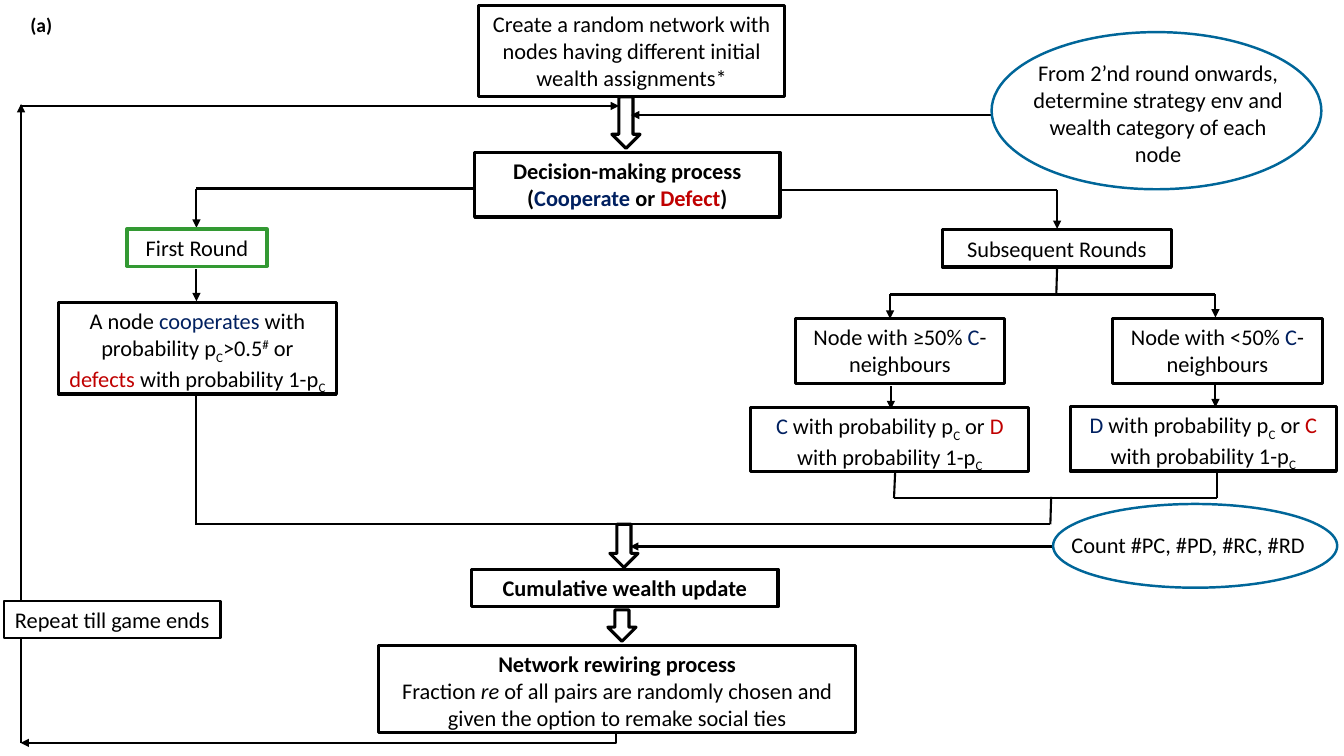
from lxml.etree import SubElement
from pptx import Presentation
from pptx.dml.color import RGBColor
from pptx.enum.shapes import MSO_CONNECTOR, MSO_SHAPE
from pptx.enum.text import MSO_ANCHOR, PP_ALIGN
from pptx.oxml.ns import qn
from pptx.util import Cm, Pt

BLACK = RGBColor(0x00, 0x00, 0x00)
NAVY = RGBColor(0x00, 0x20, 0x60)
RED = RGBColor(0xC0, 0x00, 0x00)
GREEN = RGBColor(0x33, 0x99, 0x33)
BLUE = RGBColor(0x00, 0x66, 0x99)
SUBSCRIPT, SUPERSCRIPT = "-25000", "30000"

presentation = Presentation()
presentation.slide_width, presentation.slide_height = Cm(33.87), Cm(19.05)
slide = presentation.slides.add_slide(presentation.slide_layouts[6])


def add_outline(kind, position, color=BLACK, weight=2.25):
    shape = slide.shapes.add_shape(kind, *[Cm(value) for value in position])
    shape.shadow.inherit = False
    shape.fill.background()
    shape.line.color.rgb = color
    shape.line.width = Pt(weight)
    return shape


def write_text(shape, paragraphs, size=16):
    """Each paragraph is (bold, runs); a run is plain text or (text, style)."""
    frame = shape.text_frame
    frame.word_wrap = True
    frame.vertical_anchor = MSO_ANCHOR.TOP
    for index, (bold, runs) in enumerate(paragraphs):
        paragraph = frame.paragraphs[0] if index == 0 else frame.add_paragraph()
        paragraph.alignment = PP_ALIGN.CENTER
        paragraph.font.name = "Calibri"
        paragraph.font.size = Pt(size)
        paragraph.font.bold = bold
        for item in runs:
            text, style = (item, BLACK) if isinstance(item, str) else item
            run = paragraph.add_run()
            run.text = text
            run.font.color.rgb = style if isinstance(style, RGBColor) else BLACK
            if style == "italic":
                run.font.italic = True
            elif style in (SUBSCRIPT, SUPERSCRIPT):
                run.font._element.set("baseline", style)


# Lines and arrows: start x, start y, end x, end y, arrowhead
lines = [
    # Decision to the two kinds of round
    (11.96, 4.75, 4.95, 4.75, False),
    (26.64, 4.78, 19.69, 4.78, False),
    (4.95, 4.75, 4.95, 5.74, True),
    (26.64, 4.78, 26.64, 5.77, True),
    (4.95, 6.78, 4.95, 7.59, True),
    # Subsequent rounds to the two neighbourhoods
    (26.64, 6.73, 26.62, 7.42, False),
    (22.43, 7.42, 30.63, 7.42, False),
    (22.43, 7.42, 22.43, 8.03, True),
    (30.63, 7.42, 30.63, 8.0, True),
    (22.45, 9.73, 22.45, 10.31, True),
    (30.63, 9.65, 30.63, 10.26, True),
    # All branches back to the wealth update
    (22.56, 11.86, 22.53, 12.55, False),
    (30.68, 11.86, 30.68, 12.55, False),
    (22.53, 12.55, 30.68, 12.55, False),
    (26.49, 12.52, 26.47, 13.21, False),
    (26.47, 13.21, 15.92, 13.21, False),
    (15.92, 13.21, 4.95, 13.21, False),
    (4.95, 9.93, 4.95, 13.23, False),
    # Side notes
    (26.57, 13.77, 15.88, 13.77, True),
    (25.02, 2.9, 15.9, 2.9, True),
    # Repeat loop
    (0.51, 2.67, 15.6, 2.67, True),
    (0.53, 18.72, 0.53, 16.08, False),
    (0.53, 15.11, 0.53, 2.62, True),
    (15.54, 18.47, 0.53, 18.72, True),
]
for *ends, has_arrowhead in lines:
    connector = slide.shapes.add_connector(
        MSO_CONNECTOR.STRAIGHT, *[Cm(value) for value in ends])
    connector.line.color.rgb = BLACK
    connector.line.width = Pt(1.5)
    properties = connector._element.spPr
    if has_arrowhead:
        SubElement(connector.line._get_or_add_ln(), qn("a:tailEnd"), type="triangle")
    SubElement(properties, qn("a:effectLst"))

# The last line turns a corner: down from the rewiring box, then left
connector.left, connector.top = Cm(7.9), Cm(11.09)
connector.width, connector.height = Cm(0.25), Cm(15.01)
transform = properties.find(qn("a:xfrm"))
transform.attrib.pop("flipH", None)
transform.set("rot", "5400000")
properties.find(qn("a:prstGeom")).set("prst", "bentConnector2")

# Process boxes
add_boxes = [
    ((12.07, 0.13, 7.7, 2.31), [(False, [
        "Create a random network with nodes having different initial wealth assignments*"])]),
    ((11.96, 3.84, 7.7, 1.63), [
        (True, ["Decision-making process"]),
        (True, ["(", ("Cooperate", NAVY), " or ", ("Defect", RED), ")"])]),
    ((23.75, 5.79, 5.77, 0.94), [(False, ["Subsequent Rounds"])]),
    ((1.47, 7.62, 7.01, 2.31), [(False, [
        "A node ", ("cooperates", NAVY), " with probability p", ("C", SUBSCRIPT),
        ">0.5", ("#", SUPERSCRIPT), " or ", ("defects", RED),
        " with probability 1-p", ("C", SUBSCRIPT)])]),
    ((11.89, 14.35, 7.72, 0.94), [(True, ["Cumulative wealth update"])]),
    ((9.55, 16.26, 12.01, 2.21), [
        (True, ["Network rewiring process"]),
        (False, ["Fraction ", ("re", "italic"),
                 " of all pairs are randomly chosen and given the option "
                 "to remake social ties"])]),
]
for left, sign in [(20.04, "≥"), (28.04, "<")]:
    add_boxes.append(((left, 8.03, 5.28, 1.63), [
        (False, [f"Node with {sign}50% ", ("C", NAVY), "-neighbours"])]))
for position, likely, unlikely in [((18.92, 10.26, 7.01, 1.63), "C", "D"),
                                   ((26.97, 10.24, 6.71, 1.63), "D", "C")]:
    add_boxes.append((position, [(False, [
        (likely, NAVY), " with probability p", ("C", SUBSCRIPT), " or ",
        (unlikely, RED), " with probability 1-p", ("C", SUBSCRIPT)])]))
for position, paragraphs in add_boxes:
    write_text(add_outline(MSO_SHAPE.RECTANGLE, position), paragraphs)

first_round = add_outline(MSO_SHAPE.RECTANGLE, (3.2, 5.77, 3.53, 0.94), GREEN)
write_text(first_round, [(False, ["First Round"])])
repeat_box = add_outline(MSO_SHAPE.RECTANGLE, (0.1, 15.14, 5.46, 0.94), weight=1.5)
write_text(repeat_box, [(False, ["Repeat till game ends"])])

# Block arrows
for left, top, height in [(15.42, 2.44, 1.3), (15.37, 13.21, 1.09), (15.32, 15.37, 0.79)]:
    add_outline(MSO_SHAPE.DOWN_ARROW, (left, top, 0.71, height))

# Ellipses around the side notes
for position in [(24.99, 0.81, 8.31, 3.96), (26.54, 12.7, 7.16, 2.11)]:
    add_outline(MSO_SHAPE.OVAL, position, BLUE, 1.75)

# Side notes and panel label
for position, bold, size, text in [
    ((25.68, 1.37, 7.01, 3.0), False, 16,
     "From 2’nd round onwards, determine strategy env and wealth category of each node"),
    ((26.44, 13.26, 7.01, 0.94), False, 16, "Count #PC, #PD, #RC, #RD"),
    ((0.43, 0.2, 1.22, 0.86), True, 14, "(a)"),
]:
    note = slide.shapes.add_textbox(*[Cm(value) for value in position])
    write_text(note, [(bold, [text])], size)

presentation.save("out.pptx")
